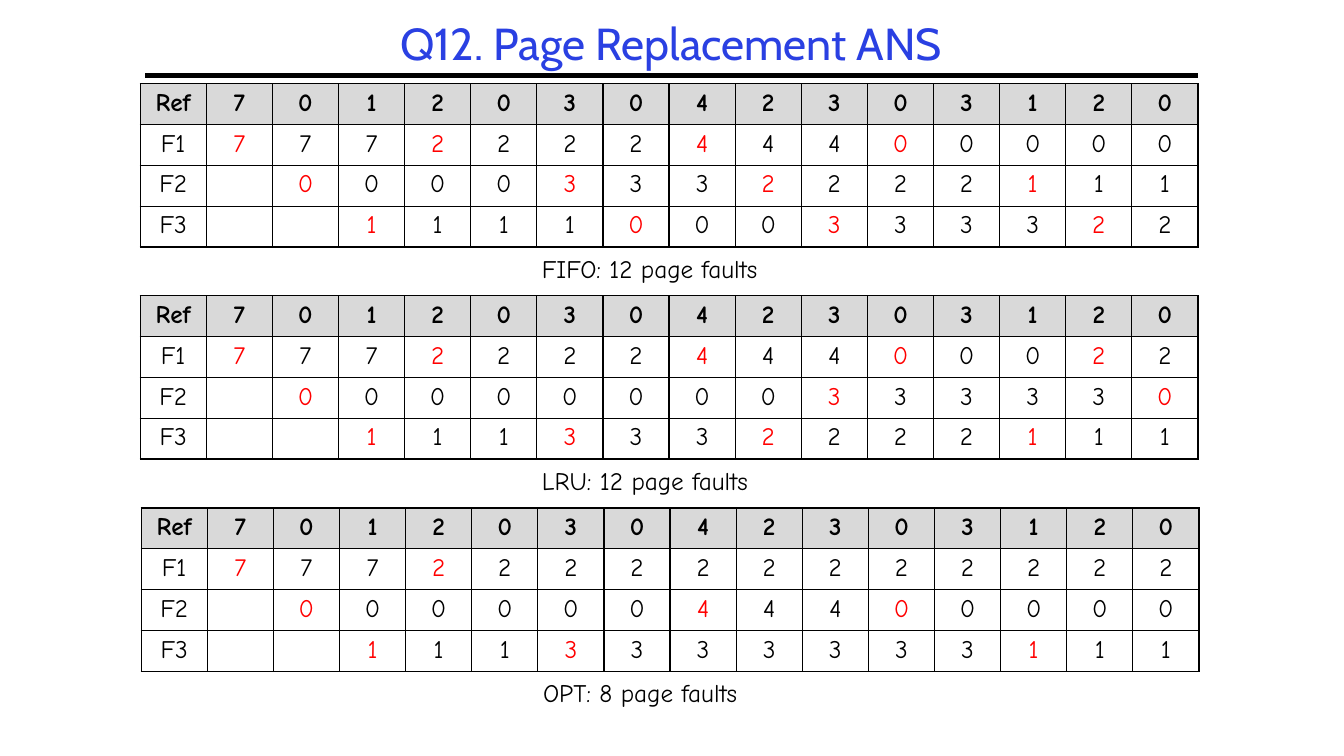
from lxml import etree
from pptx import Presentation
from pptx.dml.color import RGBColor
from pptx.enum.shapes import MSO_CONNECTOR
from pptx.enum.text import MSO_ANCHOR, MSO_AUTO_SIZE as AutoSize, PP_ALIGN
from pptx.oxml import parse_xml
from pptx.oxml.ns import nsdecls, qn
from pptx.util import Pt

COLORS = {"title": "2A40E2", "ink": "000000", "fault": "FF0000", "header": "D9D9D9"}
TITLE_FORMAT = {"name": "Cabin", "size": Pt(32), "bold": False}
TEXT_FORMAT = {"name": "Comic Neue", "size": Pt(18), "bold": False}
HEADER_FORMAT = {**TEXT_FORMAT, "bold": True}

REFERENCES = "701203042303120"
POLICIES = [
    {"caption": "FIFO: 12 page faults", "left": 100.08, "caption_width": 201.6,
     "frames": ["777222244400000", " 00003332222111", "  1111000333322"]},
    {"caption": "LRU: 12 page faults", "left": 100.08, "caption_width": 180,
     "frames": ["777222244400022", " 00000000333330", "  1113332222111"]},
    {"caption": "OPT: 8 page faults", "left": 100.8, "caption_width": 180,
     "frames": ["777222222222222", " 00000044400000", "  1113333333111"]},
]
TABLE_TOP, TABLE_STEP = 59.76, 151.56
TABLE_WIDTH, TABLE_HEIGHT = 756, 116.64


def write_text(paragraph, text, formats, color):
    """Add one formatted run to a paragraph."""
    run = paragraph.add_run()
    run.text = text
    for name, value in formats.items():
        setattr(run.font, name, value)
    run.font.color.rgb = RGBColor.from_string(COLORS[color])


def draw_title(slide, left, top, width, height):
    """Place the title and the rule along the bottom of its box."""
    title = slide.shapes.title
    box = {"left": left, "top": top, "width": width, "height": height}
    for name, value in box.items():
        setattr(title, name, Pt(value))
    frame = title.text_frame
    frame.auto_size = AutoSize.NONE
    frame.vertical_anchor = MSO_ANCHOR.MIDDLE
    paragraph = frame.paragraphs[0]
    paragraph.alignment = PP_ALIGN.CENTER
    paragraph.line_spacing = 0.9
    write_text(paragraph, "Q12. Page Replacement ANS", TITLE_FORMAT, "title")

    bottom = Pt(top + height)
    rule = slide.shapes.add_connector(
        MSO_CONNECTOR.STRAIGHT, Pt(left), bottom, Pt(left + width), bottom)
    rule.line.width = Pt(3)
    rule.line.color.rgb = RGBColor.from_string(COLORS["ink"])
    etree.SubElement(rule.element.spPr, qn("a:effectLst"))


def add_borders(cell):
    """Draw a thin line on all four sides of a cell."""
    properties = cell._tc.get_or_add_tcPr()
    for side in ("lnL", "lnR", "lnT", "lnB"):
        properties.append(parse_xml(
            f'<a:{side} {nsdecls("a")} w="{Pt(1)}"><a:solidFill>'
            f'<a:srgbClr val="{COLORS["ink"]}"/></a:solidFill></a:{side}>'))


def draw_table(slide, frames, left, top, width, height):
    """Draw the frame contents, with red for each newly loaded page."""
    rows = [["Ref", *REFERENCES]]
    rows += [[f"F{number}", *pages] for number, pages in enumerate(frames, 1)]
    table = slide.shapes.add_table(
        len(rows), len(rows[0]), Pt(left), Pt(top), Pt(width), Pt(height)).table
    table.horz_banding = False
    for column in table.columns:
        column.width = Pt(width / len(rows[0]))
    for row in table.rows:
        row.height = Pt(height / len(rows))

    for row_index, values in enumerate(rows):
        is_header = row_index == 0
        for column_index, value in enumerate(values):
            cell = table.cell(row_index, column_index)
            add_borders(cell)
            if is_header:
                cell.fill.solid()
                cell.fill.fore_color.rgb = RGBColor.from_string(COLORS["header"])
            else:
                cell.fill.background()
            paragraph = cell.text_frame.paragraphs[0]
            paragraph.alignment = PP_ALIGN.CENTER
            if value == " ":
                continue
            is_fault = (not is_header and column_index > 0
                        and value != values[column_index - 1])
            write_text(paragraph, value, HEADER_FORMAT if is_header else TEXT_FORMAT,
                       "fault" if is_fault else "ink")


def draw_policy(slide, policy, left, top, width, height):
    """Draw one policy's table with its caption beneath."""
    draw_table(slide, policy["frames"], left, top, width, height)
    caption = slide.shapes.add_textbox(
        Pt(left + 280), Pt(top + height + 0.7), Pt(policy["caption_width"]), Pt(29))
    frame = caption.text_frame
    frame.word_wrap = True
    frame.auto_size = AutoSize.SHAPE_TO_FIT_TEXT
    write_text(frame.paragraphs[0], policy["caption"], TEXT_FORMAT, "ink")


def main():
    """Build and save the presentation."""
    presentation = Presentation()
    presentation.slide_width = Pt(960)
    presentation.slide_height = Pt(540)
    slide = presentation.slides.add_slide(presentation.slide_layouts[5])
    draw_title(slide, 103.68, 12.24, 752, 41.76)
    for index, policy in enumerate(POLICIES):
        draw_policy(slide, policy, policy["left"], TABLE_TOP + index * TABLE_STEP,
                    TABLE_WIDTH, TABLE_HEIGHT)
    presentation.save("out.pptx")


if __name__ == "__main__":
    main()
